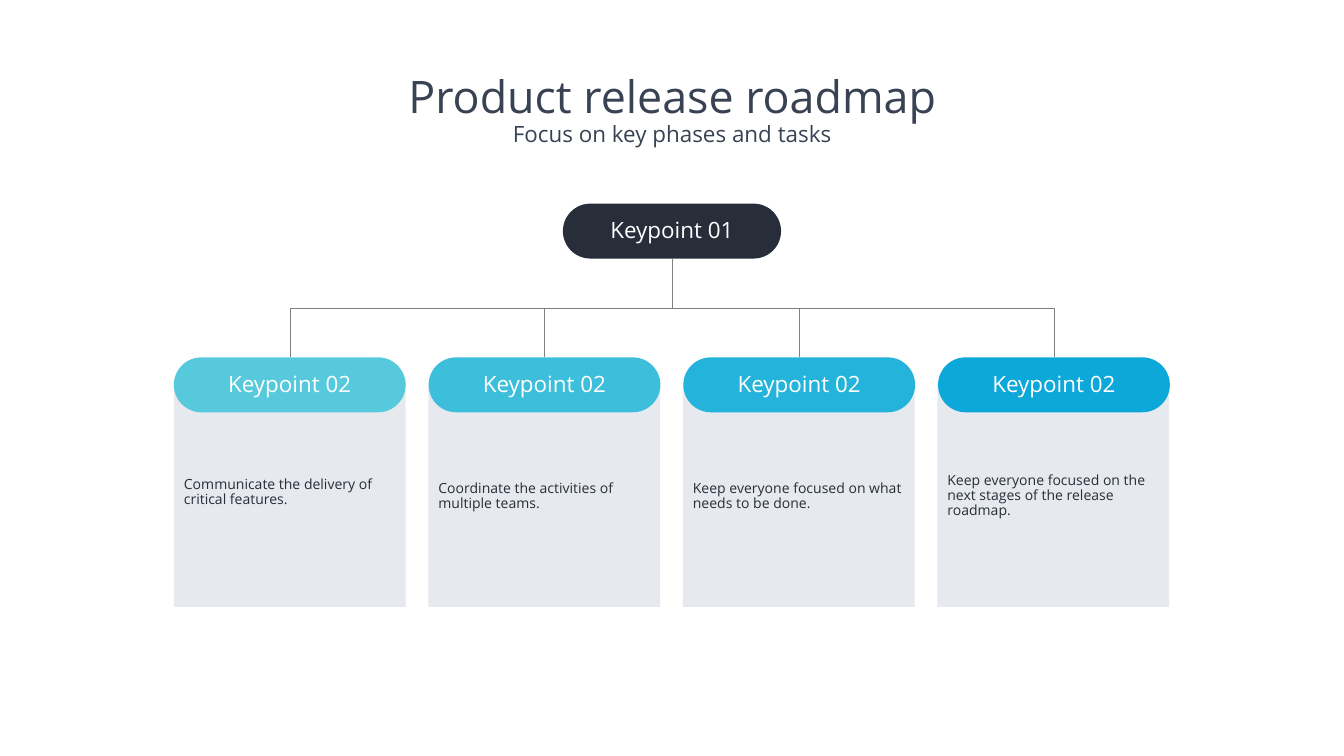
from lxml import etree
from pptx import Presentation
from pptx.dml.color import RGBColor
from pptx.enum.shapes import MSO_CONNECTOR as CONNECTOR, MSO_SHAPE as SHAPE
from pptx.enum.text import MSO_ANCHOR as ANCHOR, PP_ALIGN as ALIGN
from pptx.oxml.ns import qn
from pptx.util import Inches, Pt

COLORS = {"title": "384253", "dark": "272E3A", "white": "FFFFFF",
          "card": "8492AC", "line": "808080"}
# Pill colour, card top, card text
PHASES = [
    ("56CADC", 7.5, "Communicate the delivery of critical features."),
    ("3DBEDB", 7.65, "Coordinate the activities of multiple teams."),
    ("24B3DA", 7.65, "Keep everyone focused on what needs to be done."),
    ("0CA8DA", 7.65, "Keep everyone focused on the next stages of the release roadmap."),
]
LEFT, STEP, WIDTH = 3.45, 5.05, 4.6
PILL_TOP, PILL_HEIGHT, CARD_BOTTOM = 7.09, 1.09, 12.04


def style_paragraph(para, size, color, align, spacing=0.9):
    para.alignment = align
    para.line_spacing = spacing
    for span in para.runs:
        span.font.name = "Open Sans"
        span.font.size = Pt(size)
        span.font.color.rgb = RGBColor.from_string(color)


def add_block(kind, left, top, width, height, fill, text, inset):
    """Add a filled, unlined shape with vertically centred text."""
    block = page.shapes.add_shape(kind, Inches(left), Inches(top),
                                  Inches(width), Inches(height))
    block.shadow.inherit = False
    block.fill.solid()
    block.fill.fore_color.rgb = RGBColor.from_string(fill)
    block.line.fill.background()
    frame = block.text_frame
    frame.text = text
    frame.word_wrap = True
    frame.vertical_anchor = ANCHOR.MIDDLE
    frame.margin_left = frame.margin_right = Inches(inset)
    frame.margin_top = frame.margin_bottom = Inches(inset)
    return block


deck = Presentation()
deck.slide_width, deck.slide_height = Inches(26.67), Inches(15)
page = deck.slides.add_slide(deck.slide_layouts[6])

# Cards
for index, (_, top, text) in enumerate(PHASES):
    card = add_block(SHAPE.RECTANGLE, LEFT + index * STEP, top, WIDTH,
                     CARD_BOTTOM - top, COLORS["card"], text, 0.2)
    style_paragraph(card.text_frame.paragraphs[0], 20, COLORS["dark"], ALIGN.LEFT, 0.89)
    color = card.fill._xPr.find(qn("a:solidFill"))[0]
    etree.SubElement(color, qn("a:alpha")).set("val", "20000")

# Pills: the root first, then one on top of each card
pill_specs = [(11.17, 4.04, 4.33, COLORS["dark"], "Keypoint 01")]
for index, (fill, _, _) in enumerate(PHASES):
    pill_specs.append((LEFT + index * (STEP + 0.005), PILL_TOP, WIDTH, fill, "Keypoint 02"))
pills = []
for left, top, width, fill, text in pill_specs:
    pill = add_block(SHAPE.ROUNDED_RECTANGLE, left, top, width, PILL_HEIGHT, fill, text, 0.05)
    pill.adjustments[0] = 0.5
    style_paragraph(pill.text_frame.paragraphs[0], 32, COLORS["white"], ALIGN.CENTER)
    pills.append(pill)

# Elbow connectors, turned so that they leave the root downwards
root, *children = pills
start_x, start_y = root.left + root.width // 2, root.top + root.height
for child in children:
    end_x, end_y = child.left + child.width // 2, child.top
    link = page.shapes.add_connector(CONNECTOR.ELBOW, start_x, start_y, end_x, end_y)
    link.begin_connect(root, 2)
    link.end_connect(child, 0)
    link.width, link.height = end_y - start_y, abs(end_x - start_x)
    link.left = (start_x + end_x - link.width) // 2
    link.top = (start_y + end_y - link.height) // 2
    to_right = end_x > start_x
    frame = link._element.spPr.find(qn("a:xfrm"))
    frame.set("rot", str((270 if to_right else 90) * 60000))
    frame.set("flipH", "1" if to_right else "0")
    link.line.color.rgb = RGBColor.from_string(COLORS["line"])
    link.line.width = Pt(0.5)
    etree.SubElement(link._element.spPr, qn("a:effectLst"))

# Title and subtitle
title = page.shapes.add_textbox(Inches(5.79), Inches(1.43), Inches(15.1), Inches(1.5))
title.text_frame.word_wrap = True
title.text_frame.text = "Product release roadmap\nFocus on key phases and tasks"
for para, size in zip(title.text_frame.paragraphs, (64, 32)):
    style_paragraph(para, size, COLORS["title"], ALIGN.CENTER)

deck.save("out.pptx")
